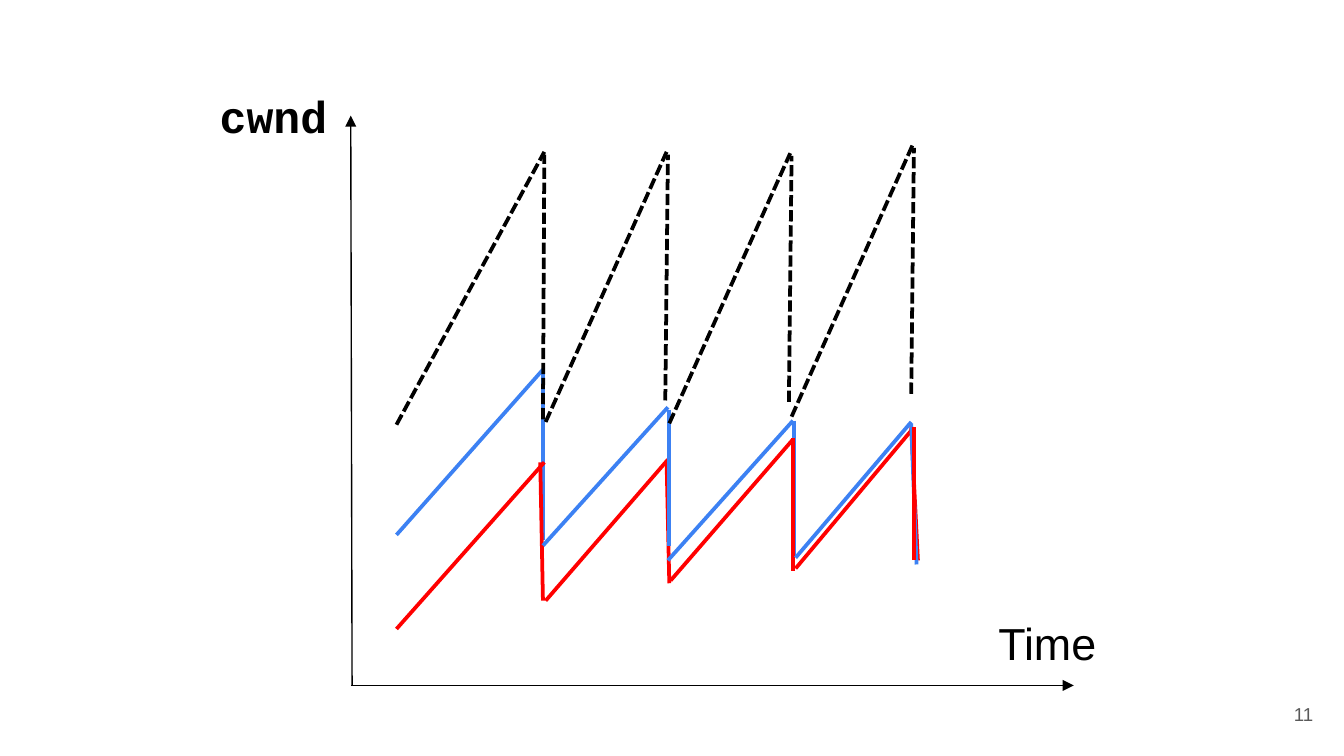
import pptx
import pptx.dml.color
import pptx.enum.dml
import pptx.enum.shapes
import pptx.enum.text
import pptx.oxml
import pptx.oxml.ns
import pptx.util
from pptx.util import Inches

RGBColor = pptx.dml.color.RGBColor
BLACK = RGBColor(0x00, 0x00, 0x00)
BLUE = RGBColor(0x3C, 0x81, 0xF3)
RED = RGBColor(0xFF, 0x00, 0x00)
GRAY = RGBColor(0x59, 0x59, 0x59)

ALIGN = pptx.enum.text.PP_ALIGN
AUTO_SIZE = pptx.enum.text.MSO_AUTO_SIZE
NAMESPACE = pptx.oxml.ns.nsdecls("a")

# Widescreen page, 16:9
deck = pptx.Presentation()
deck.slide_width = Inches(10)
deck.slide_height = Inches(10) * 9 // 16
page = deck.slides.add_slide(deck.slide_layouts[6])


def add_line(start, end, color, width):
    line = page.shapes.add_connector(
        pptx.enum.shapes.MSO_CONNECTOR.STRAIGHT,
        Inches(start[0]), Inches(start[1]), Inches(end[0]), Inches(end[1]))
    line.line.color.rgb = color
    line.line.width = pptx.util.Pt(width)
    line._element.spPr.append(pptx.oxml.parse_xml(f"<a:effectLst {NAMESPACE}/>"))
    return line


def add_label(text, left, top, width, height, font, size, color, align):
    box = page.shapes.add_textbox(
        Inches(left), Inches(top), Inches(width), Inches(height))
    box.text_frame.word_wrap = True
    para = box.text_frame.paragraphs[0]
    para.alignment = align
    span = para.add_run()
    span.text = text
    span.font.name = font
    span.font.size = pptx.util.Pt(size)
    span.font.color.rgb = color
    return box


# Slide number
number = add_label("11", 9.27, 5.1, 0.6, 0.43, "Arial", 10, GRAY, ALIGN.RIGHT)
frame = number.text_frame
frame.vertical_anchor = pptx.enum.text.MSO_ANCHOR.MIDDLE
frame.margin_left = frame.margin_right = Inches(0.1)
frame.margin_top = frame.margin_bottom = Inches(0.1)

# Axes with arrowheads
for start, end in [((2.62, 5.1), (2.61, 0.86)), ((2.61, 5.1), (7.99, 5.1))]:
    axis = add_line(start, end, BLACK, 0.75)
    axis.line._get_or_add_ln().append(pptx.oxml.parse_xml(
        f'<a:tailEnd {NAMESPACE} type="triangle"/>'))

# Label of the vertical axis
cwnd = add_label("cwnd", 1.25, 0.61, 1.57, 0.5, "Courier New", 24, BLACK, ALIGN.CENTER)
cwnd.text_frame.auto_size = AUTO_SIZE.SHAPE_TO_FIT_TEXT
cwnd.text_frame.paragraphs[0].runs[0].font.bold = True

# Sawtooth strokes, from back to front; the black total is dashed
strokes = [
    # First tooth
    (BLUE, (2.95, 3.98), (4.04, 2.75)),
    (BLUE, (4.04, 2.75), (4.04, 4.02)),
    (RED, (2.95, 4.68), (4.05, 3.44)),
    (RED, (4.02, 3.44), (4.04, 4.47)),
    (BLACK, (2.95, 3.16), (4.05, 1.13)),
    (BLACK, (4.04, 3.12), (4.05, 1.15)),
    # Second tooth
    (BLUE, (4.04, 4.06), (4.97, 3.03)),
    (RED, (4.06, 4.47), (4.97, 3.42)),
    (BLACK, (4.06, 3.14), (4.96, 1.13)),
    (BLACK, (4.95, 2.98), (4.97, 1.15)),
    (RED, (4.96, 3.44), (4.98, 4.34)),
    (BLUE, (4.98, 3.05), (4.98, 4.06)),
    # Third tooth
    (BLACK, (4.98, 3.15), (5.88, 1.14)),
    (BLACK, (5.87, 2.99), (5.89, 1.16)),
    (BLUE, (4.97, 4.17), (5.9, 3.13)),
    (RED, (4.99, 4.32), (5.9, 3.27)),
    (BLUE, (5.91, 3.13), (5.91, 4.14)),
    (RED, (5.9, 3.26), (5.9, 4.25)),
    # Fourth tooth
    (BLUE, (5.92, 4.15), (6.78, 3.14)),
    (RED, (5.92, 4.23), (6.8, 3.18)),
    (BLACK, (5.89, 3.1), (6.79, 1.08)),
    (BLACK, (6.78, 2.93), (6.8, 1.1)),
    (RED, (6.78, 3.18), (6.83, 4.17)),
    (BLUE, (6.78, 3.15), (6.82, 4.2)),
    (RED, (6.8, 3.18), (6.8, 4.17)),
]
for color, start, end in strokes:
    stroke = add_line(start, end, color, 2)
    if color == BLACK:
        stroke.line.dash_style = pptx.enum.dml.MSO_LINE.SQUARE_DOT

# Label of the horizontal axis
time = add_label("Time", 7.33, 4.53, 0.95, 0.5, "Arial", 24, BLACK, ALIGN.LEFT)
time.text_frame.word_wrap = False
time.text_frame.auto_size = AUTO_SIZE.SHAPE_TO_FIT_TEXT

deck.save("out.pptx")
